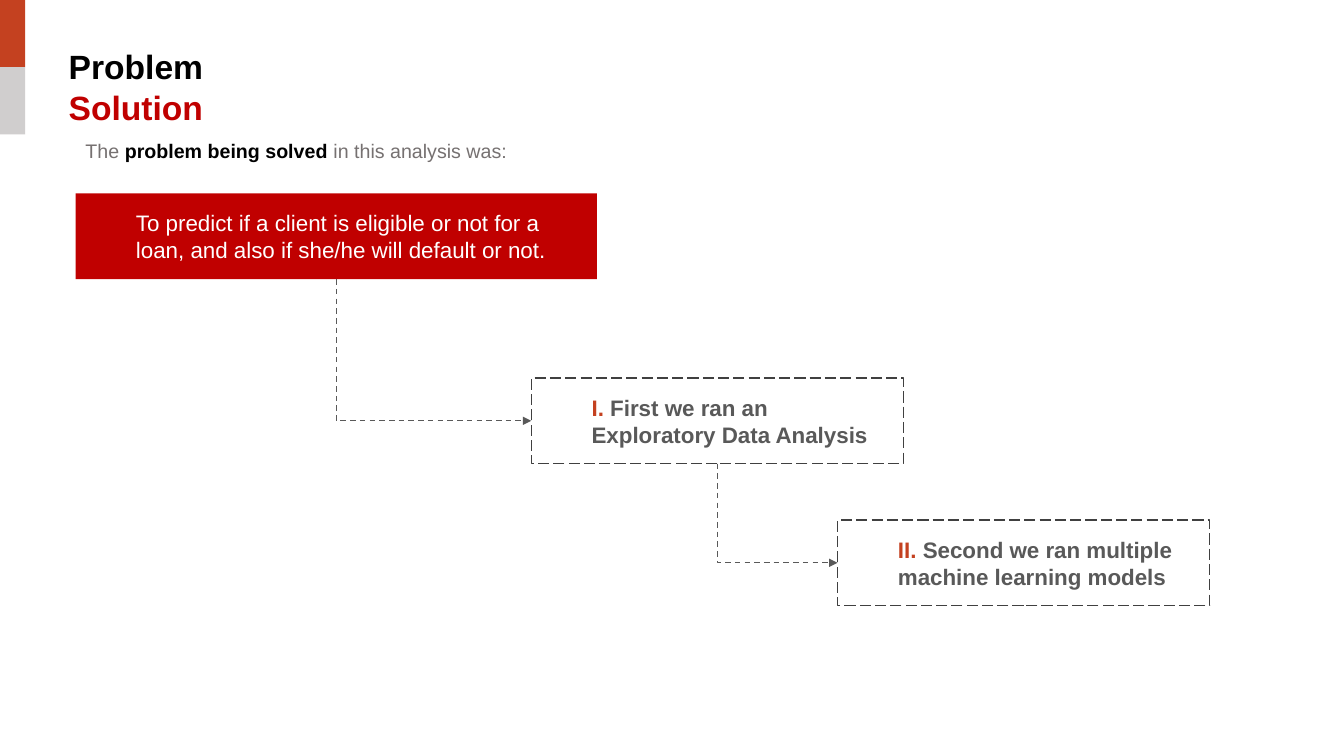
from dataclasses import dataclass

from lxml import etree
from pptx import Presentation
from pptx.dml.color import RGBColor
from pptx.enum.dml import MSO_LINE
from pptx.enum.shapes import MSO_CONNECTOR, MSO_SHAPE
from pptx.enum.text import MSO_ANCHOR, MSO_AUTO_SIZE, PP_ALIGN
from pptx.oxml.ns import qn
from pptx.util import Pt

RECT = MSO_SHAPE.RECTANGLE
ELBOW = MSO_CONNECTOR.ELBOW
DASH, LONG_DASH = MSO_LINE.DASH, MSO_LINE.LONG_DASH
MIDDLE = MSO_ANCHOR.MIDDLE
LEFT = PP_ALIGN.LEFT
GROW = MSO_AUTO_SIZE.SHAPE_TO_FIT_TEXT

FONT = "Arial"
BLACK, WHITE, RED, ORANGE = "000000", "FFFFFF", "C00000", "C44120"
SILVER, GRAY, DARK_GRAY, CHARCOAL = "D0CECE", "767171", "595959", "404040"
BOTTOM_SITE, LEFT_SITE = 2, 1
TAB_W, TAB_H = 18, 48
BOX_H = 61.2


@dataclass
class Run:
    text: str
    color: str
    bold: bool = False


@dataclass
class Box:
    left: float
    top: float
    width: float
    runs: list[Run]
    fill: str | None = None
    line: str | None = None


BOXES = [
    Box(54, 138.2, 372.4, [Run(
        "To predict if a client is eligible or not for a loan, "
        "and also if she/he will default or not.", WHITE)], fill=RED),
    Box(379.5, 270, 265.7, [
        Run("I. ", ORANGE, True),
        Run("First we ran an Exploratory Data Analysis", DARK_GRAY, True),
    ], line=CHARCOAL),
    Box(598.3, 371.4, 265.7, [
        Run("II. ", ORANGE, True),
        Run("Second we ran multiple machine learning models", DARK_GRAY, True),
    ], line=CHARCOAL),
]


def rgb(value: str) -> RGBColor:
    return RGBColor.from_string(value)


def add_run(p, text: str, *, size: float, color: str, bold: bool = False) -> None:
    r = p.add_run()
    r.text = text
    r.font.name = FONT
    r.font.size = Pt(size)
    r.font.bold = bold
    r.font.color.rgb = rgb(color)


def add_rect(s, left: float, top: float, width: float, height: float,
             fill: str | None = None, line: str | None = None):
    sp = s.shapes.add_shape(RECT, Pt(left), Pt(top), Pt(width), Pt(height))
    sp.shadow.inherit = False
    if fill:
        sp.fill.solid()
        sp.fill.fore_color.rgb = rgb(fill)
    else:
        sp.fill.background()
    if line:
        sp.line.color.rgb = rgb(line)
        sp.line.width = Pt(1)
        sp.line.dash_style = LONG_DASH
    else:
        sp.line.fill.background()
    return sp


def add_text_box(s, left: float, top: float, width: float, height: float,
                 wrap: bool):
    """Add a growing text box and return its first paragraph."""
    tf = s.shapes.add_textbox(Pt(left), Pt(top), Pt(width), Pt(height)).text_frame
    tf.word_wrap = wrap
    tf.auto_size = GROW
    return tf.paragraphs[0]


def add_box(s, box: Box):
    sp = add_rect(s, box.left, box.top, box.width, BOX_H, box.fill, box.line)
    tf = sp.text_frame
    tf.word_wrap = True
    tf.vertical_anchor = MIDDLE
    tf.margin_right = Pt(20)
    p = tf.paragraphs[0]
    p.alignment = LEFT
    p.level = 1
    for run in box.runs:
        add_run(p, run.text, size=16, color=run.color, bold=run.bold)
    return sp


def add_bent_arrow(s, source, target) -> None:
    """Go down from the source's bottom, then right to the target's left side."""
    x1, y1 = source.left + source.width // 2, source.top + source.height
    x2, y2 = target.left, target.top + target.height // 2
    dx, dy = x2 - x1, y2 - y1
    c = s.shapes.add_connector(ELBOW, x1, y1, x2, y2)
    c.begin_connect(source, BOTTOM_SITE)
    c.end_connect(target, LEFT_SITE)
    # A single-bend elbow is stored unrotated, about the same centre.
    c.left, c.top = (x1 + x2 - dy) // 2, (y1 + y2 - dx) // 2
    c.width, c.height = dy, dx
    spPr = c._element.spPr
    xfrm = spPr.find(qn("a:xfrm"))
    xfrm.set("rot", str(270 * 60000))
    xfrm.set("flipH", "1")
    spPr.find(qn("a:prstGeom")).set("prst", "bentConnector2")
    c.line.color.rgb = rgb(DARK_GRAY)
    c.line.width = Pt(1)
    c.line.dash_style = DASH
    etree.SubElement(spPr.find(qn("a:ln")), qn("a:tailEnd"), type="triangle")
    etree.SubElement(spPr, qn("a:effectLst"))


def main() -> None:
    prs = Presentation()
    prs.slide_width, prs.slide_height = Pt(960), Pt(540)
    s = prs.slides.add_slide(prs.slide_layouts[6])

    for i, color in enumerate((ORANGE, SILVER)):
        add_rect(s, 0, i * TAB_H, TAB_W, TAB_H, fill=color)

    title = add_text_box(s, 42, 29.5, 206, 36, wrap=False)
    add_run(title, "Problem ", size=24, color=BLACK, bold=True)
    title.add_line_break()
    add_run(title, "Solution", size=24, color=RED, bold=True)

    intro = add_text_box(s, 54, 96, 378.7, 24.5, wrap=True)
    add_run(intro, "The ", size=14, color=GRAY)
    add_run(intro, "problem being solved ", size=14, color=BLACK, bold=True)
    add_run(intro, "in this analysis was:", size=14, color=GRAY)

    boxes = [add_box(s, box) for box in BOXES]
    for source, target in zip(boxes, boxes[1:]):
        add_bent_arrow(s, source, target)

    prs.save("out.pptx")


if __name__ == "__main__":
    main()
